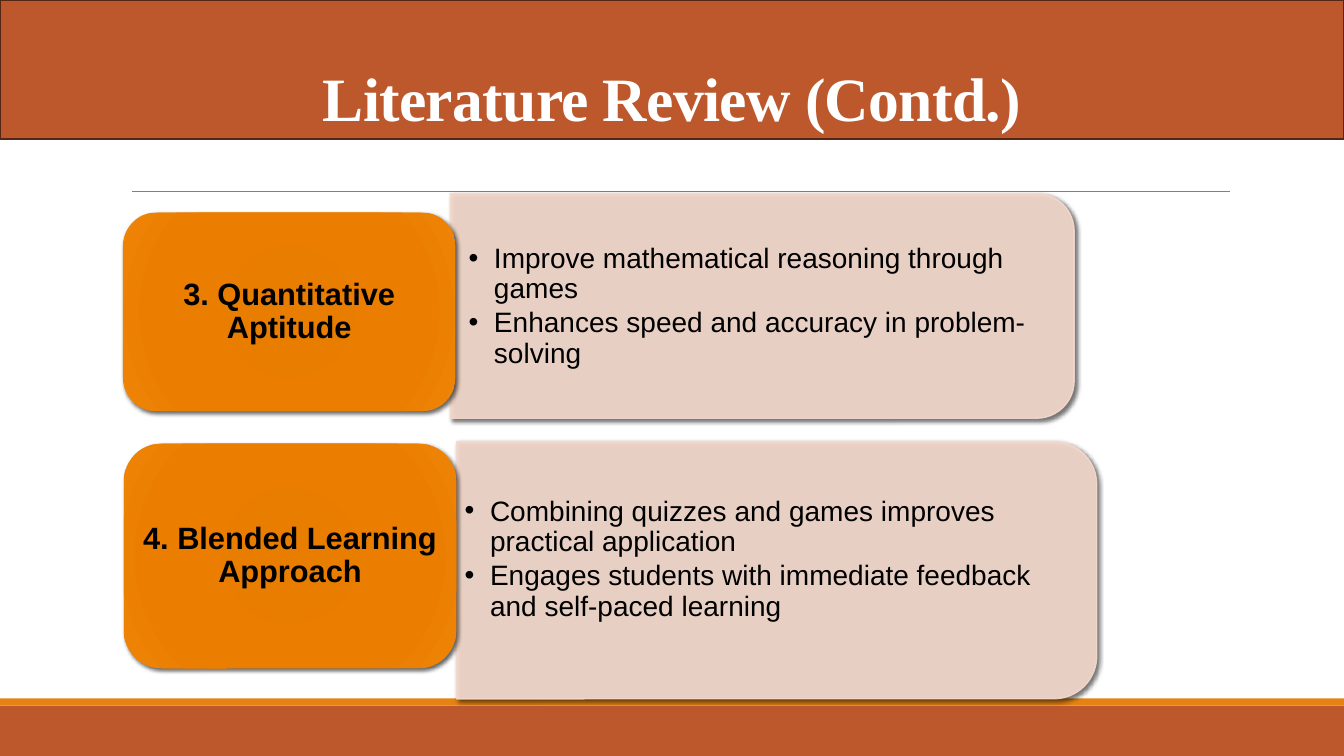
from lxml.etree import SubElement
from pptx import Presentation
from pptx.dml.color import RGBColor
from pptx.enum.shapes import MSO_CONNECTOR, MSO_SHAPE
from pptx.enum.text import MSO_ANCHOR, PP_ALIGN
from pptx.oxml import parse_xml
from pptx.oxml.ns import nsdecls, qn
from pptx.util import Cm, Pt

RUST = RGBColor(0xBD, 0x58, 0x2C)
DARK_RUST = RGBColor(0x53, 0x27, 0x13)
ORANGE = RGBColor(0xE4, 0x83, 0x12)
BLUSH = RGBColor(0xF5, 0xD9, 0xCC)
GREY = RGBColor(0x80, 0x80, 0x80)
WHITE = RGBColor(0xFF, 0xFF, 0xFF)
BLACK = RGBColor(0, 0, 0)
GLOW = [
    (0, RGBColor(0xE5, 0x7B, 0x00)),
    (34, RGBColor(0xE8, 0x7D, 0x00)),
    (70, RGBColor(0xEB, 0x7E, 0x00)),
    (100, RGBColor(0xEF, 0x84, 0x07)),
]
SLIDE_WIDTH, SLIDE_HEIGHT = 33.87, 19.05

TOPICS = [
    {
        "label": "3. Quantitative Aptitude",
        "label_frame": (3.1, 5.36, 8.38, 5),
        "points": ["Improve mathematical reasoning through games",
                   "Enhances speed and accuracy in problem-solving"],
        "panel_frame": (11.35, 4.88, 15.72, 5.66),
        "points_frame": (11.61, 5.16, 15.49, 5.13),
    },
    {
        "label": "4. Blended Learning Approach",
        "label_frame": (3.12, 11.18, 8.38, 5.66),
        "points": ["Combining quizzes and games improves practical application",
                   "Engages students with immediate feedback and self-paced learning"],
        "panel_frame": (11.51, 11.13, 16.13, 6.48),
        "points_frame": (11.51, 11.18, 15.88, 5.84),
    },
]


class ReviewSlide:
    """Holds the style and the current slide, and draws each kind of element."""

    def __init__(self, slide, body_font="Arial", title_font="Times New Roman"):
        self.slide = slide
        self.body_font = body_font
        self.title_font = title_font

    def block(self, preset, frame, fill=None, line=None, weight=1):
        block = self.slide.shapes.add_shape(preset, *map(Cm, frame))
        block.shadow.inherit = False
        if fill is not None:
            block.fill.solid()
            block.fill.fore_color.rgb = fill
        if line is None:
            block.line.fill.background()
        else:
            block.line.color.rgb = line
            block.line.width = Pt(weight)
        return block

    def rule(self, left, right, height):
        rule = self.slide.shapes.add_connector(
            MSO_CONNECTOR.STRAIGHT, Cm(left), Cm(height), Cm(right), Cm(height))
        rule.line.color.rgb = GREY
        rule.line.width = Pt(0.5)
        SubElement(rule._element.spPr, qn("a:effectLst"))

    def drop_shadow(self, block):
        effects = block._element.spPr.find(qn("a:effectLst"))
        effects.append(parse_xml(
            f'<a:outerShdw {nsdecls("a")} blurRad="{Pt(3)}" dist="{Pt(2)}" '
            'dir="2700000" algn="ctr" rotWithShape="0"><a:srgbClr val="000000">'
            '<a:alpha val="60000"/></a:srgbClr></a:outerShdw>'))

    def format(self, paragraph, size, color, font, bold=False, spacing=0.9):
        paragraph.line_spacing = spacing
        for run in paragraph.runs:
            run.font.size = Pt(size)
            run.font.name = font
            run.font.bold = bold
            run.font.color.rgb = color

    def text_area(self, frame, side, edge):
        area = self.slide.shapes.add_textbox(*map(Cm, frame)).text_frame
        area.word_wrap = True
        area.vertical_anchor = MSO_ANCHOR.MIDDLE
        area.margin_left = area.margin_right = Cm(side)
        area.margin_top = area.margin_bottom = Cm(edge)
        return area

    def title(self, wording, height):
        banner = self.block(MSO_SHAPE.RECTANGLE, (0, 0, SLIDE_WIDTH, height),
                            RUST, DARK_RUST, 1.25).text_frame
        banner.vertical_anchor = MSO_ANCHOR.BOTTOM
        banner.text = wording
        heading = banner.paragraphs[0]
        heading.alignment = PP_ALIGN.CENTER
        self.format(heading, 44, WHITE, self.title_font, True, 0.85)
        heading.runs[0].font._element.set("spc", "-50")

    def panel(self, frame):
        left, top, width, height = frame
        shift = (width - height) / 2
        panel = self.block(MSO_SHAPE.ROUND_2_SAME_RECTANGLE,
                           (left + shift, top - shift, height, width), BLUSH, BLUSH)
        panel.rotation = 90
        for color in panel._element.spPr.iter(qn("a:srgbClr")):
            SubElement(color, qn("a:alpha"), val="90000")
        self.drop_shadow(panel)

    def points(self, frame, wordings):
        area = self.text_area(frame, 0.2, 0.1)
        area.text = "\n".join(wordings)
        for point in area.paragraphs:
            point.level = 1
            properties = point._p.get_or_add_pPr()
            properties.set("marL", str(Cm(0.64)))
            properties.set("indent", str(Cm(-0.64)))
            SubElement(properties, qn("a:buFont"), typeface=self.body_font)
            SubElement(properties, qn("a:buChar"), char="•")
            point.alignment = PP_ALIGN.LEFT
            point.space_after = Pt(3)
            self.format(point, 20, BLACK, self.body_font)

    def label(self, frame, wording):
        card = self.block(MSO_SHAPE.ROUNDED_RECTANGLE, frame)
        stops = "".join(f'<a:gs pos="{place * 1000}"><a:srgbClr val="{color}"/></a:gs>'
                        for place, color in GLOW)
        card._element.spPr.find(qn("a:prstGeom")).addnext(parse_xml(
            f'<a:gradFill {nsdecls("a")} rotWithShape="1"><a:gsLst>{stops}</a:gsLst>'
            '<a:path path="circle"><a:fillToRect l="100000" t="100000" r="100000" '
            'b="100000"/></a:path></a:gradFill>'))
        self.drop_shadow(card)
        left, top, width, height = frame
        area = self.text_area((left + 0.2, top + 0.25, width - 0.4, height - 0.5),
                              0.23, 0.13)
        area.text = wording
        area.paragraphs[0].alignment = PP_ALIGN.CENTER
        self.format(area.paragraphs[0], 22, BLACK, self.body_font, True)


def main():
    presentation = Presentation()
    presentation.slide_width = Cm(SLIDE_WIDTH)
    presentation.slide_height = Cm(SLIDE_HEIGHT)
    review = ReviewSlide(presentation.slides.add_slide(presentation.slide_layouts[6]))
    review.block(MSO_SHAPE.RECTANGLE, (0, 17.78, SLIDE_WIDTH, 1.27), RUST)
    review.block(MSO_SHAPE.RECTANGLE, (0, 17.6, SLIDE_WIDTH, 0.18), ORANGE)
    review.rule(3.33, 31, 4.83)
    review.title("Literature Review (Contd.)", 3.5)
    for topic in TOPICS:
        review.panel(topic["panel_frame"])
        review.points(topic["points_frame"], topic["points"])
        review.label(topic["label_frame"], topic["label"])
    presentation.save("out.pptx")


if __name__ == "__main__":
    main()
